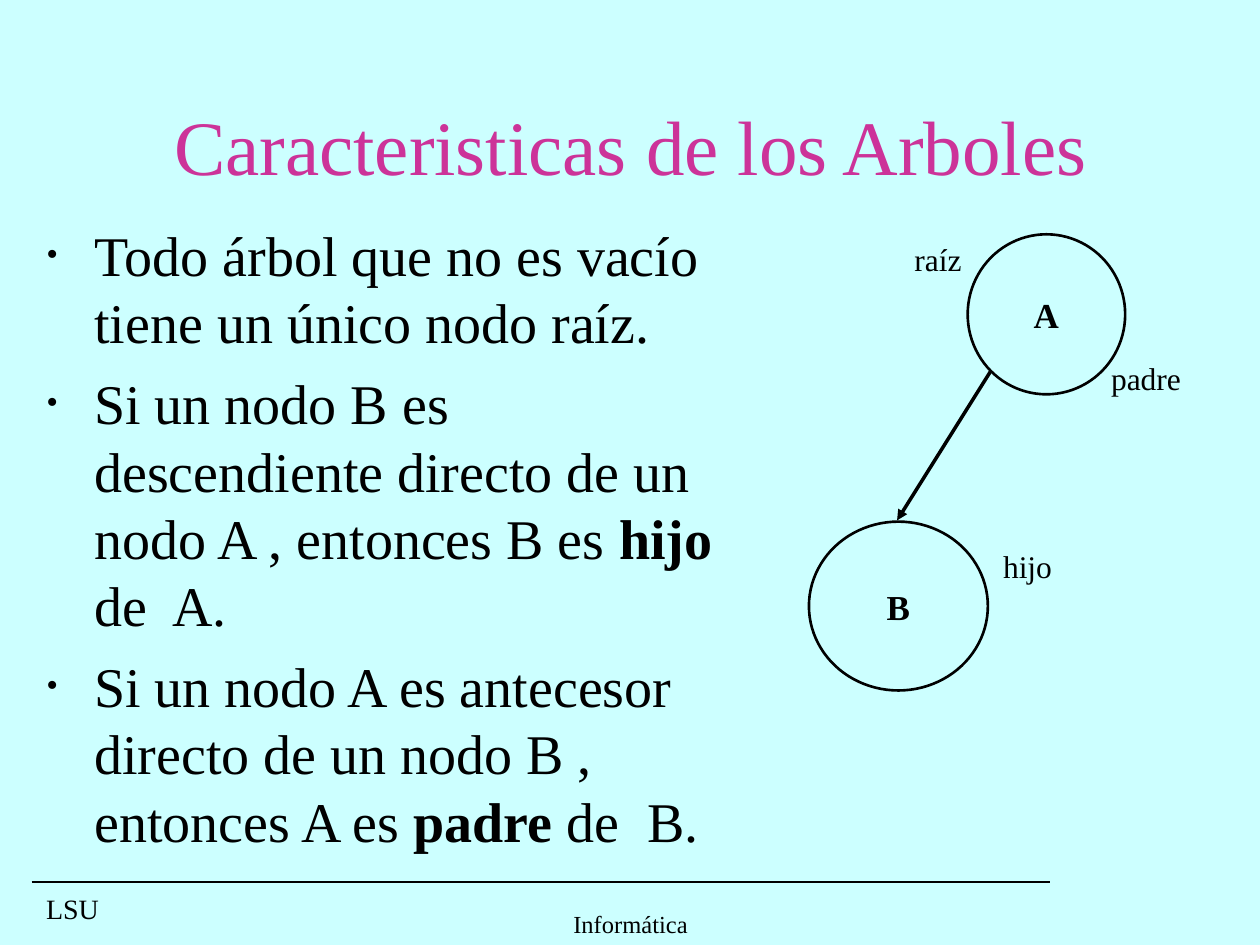
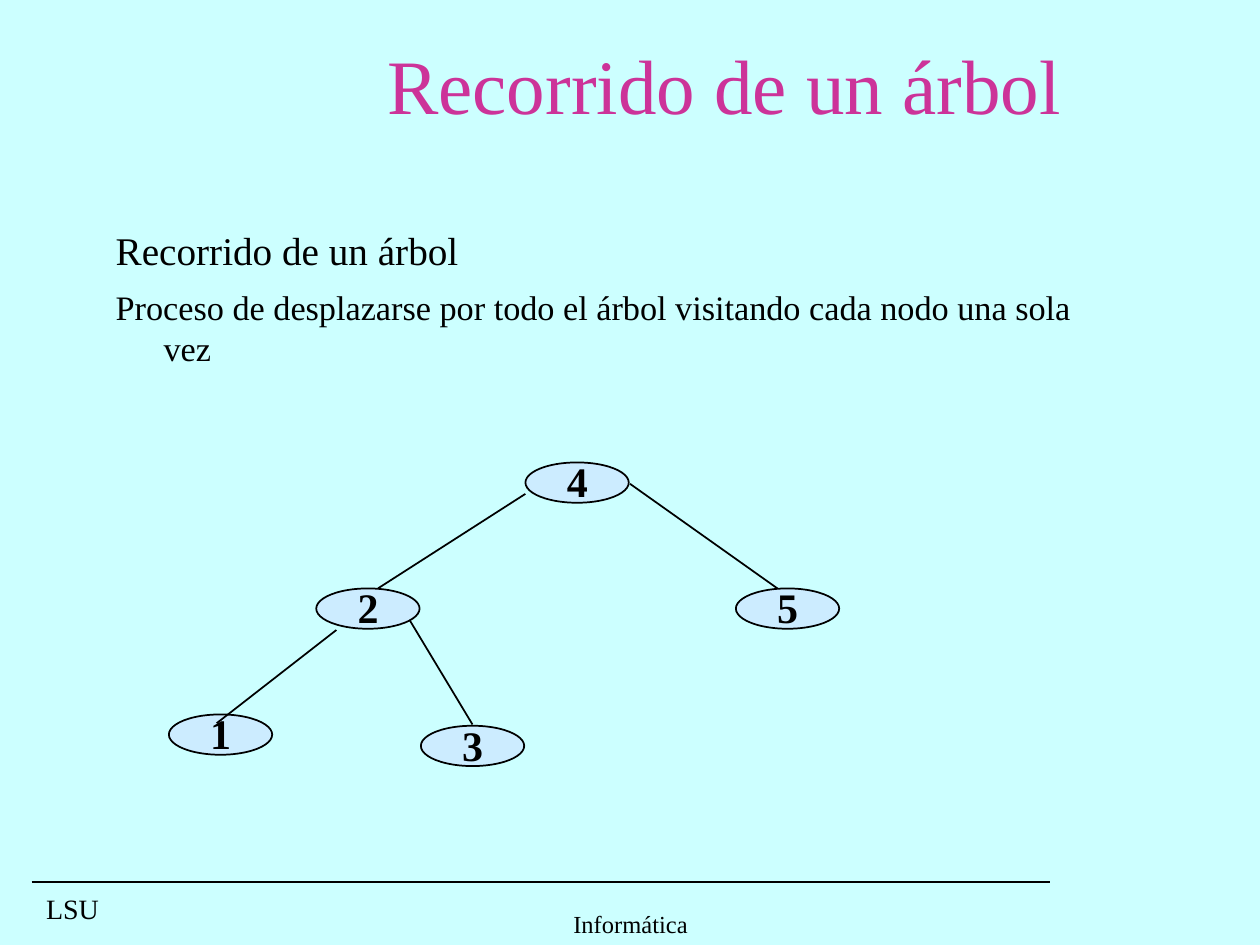
from lxml import etree
from pptx import Presentation
from pptx.dml.color import RGBColor
from pptx.enum.shapes import MSO_CONNECTOR, MSO_SHAPE
from pptx.enum.text import MSO_ANCHOR, MSO_AUTO_SIZE, PP_ALIGN
from pptx.oxml.ns import qn
from pptx.util import Inches, Pt

# Shared style
BACKGROUND = RGBColor(0xCC, 0xFF, 0xFF)
TITLE_COLOR = RGBColor(0xCC, 0x33, 0x99)
NODE_FILL = RGBColor(0xCC, 0xEC, 0xFF)
BLACK = RGBColor(0, 0, 0)
FONT = "Times New Roman"
HANGING = 0.38

STRAIGHT = MSO_CONNECTOR.STRAIGHT
OVAL = MSO_SHAPE.OVAL
LEFT, CENTER = PP_ALIGN.LEFT, PP_ALIGN.CENTER
TOP, MIDDLE, BOTTOM = MSO_ANCHOR.TOP, MSO_ANCHOR.MIDDLE, MSO_ANCHOR.BOTTOM
GROW = MSO_AUTO_SIZE.SHAPE_TO_FIT_TEXT


def apply_format(target, values):
    for name, value in values.items():
        setattr(target, name, value)


def add_xml(parent, tag, **attributes):
    return etree.SubElement(parent, qn(tag), attributes)


class Deck:
    """Holds the presentation style and the slide being built."""

    def __init__(self):
        self.prs = Presentation()
        apply_format(self.prs, {"slide_width": Inches(10), "slide_height": Inches(7.5)})
        self.slide = None

    def new_slide(self, title, title_box):
        self.slide = self.prs.slides.add_slide(self.prs.slide_layouts[6])
        fill = self.slide.background.fill
        fill.solid()
        fill.fore_color.rgb = BACKGROUND
        # Footer
        self.line((0.25, 7), (8.33, 7))
        self.text((0.24, 7.06, 0.67, 0.34), "LSU", 16, grow=True, line_spacing=0.9)
        self.text((3.42, 7.08, 3.17, 0.42), "Informática", 14, anchor=BOTTOM, wrap=False)
        self.title(title, title_box)

    def title(self, title, box):
        paragraph = self.text(box, title, 44, color=TITLE_COLOR, anchor=MIDDLE)
        # Soft text shadow, placed right after the fill of the run
        effects = etree.Element(qn("a:effectLst"))
        shadow = add_xml(effects, "a:outerShdw", dist="35921", dir="2700000")
        add_xml(shadow, "a:srgbClr", val="808080")
        run_format = paragraph.runs[0].font._element
        run_format.find(qn("a:solidFill")).addnext(effects)

    def add_runs(self, paragraph, parts, size, color=BLACK, bold=False, align=CENTER, **spacing):
        """Add parts in turn; every second part is emphasised."""
        apply_format(paragraph, {"alignment": align, **spacing})
        for index, part in enumerate(parts):
            run = paragraph.add_run()
            run.text = part
            apply_format(run.font, {"name": FONT, "size": Pt(size),
                                    "bold": bold or index % 2 == 1})
            run.font.color.rgb = color

    def frame(self, box, anchor=TOP, wrap=True, grow=False):
        frame = self.slide.shapes.add_textbox(*map(Inches, box)).text_frame
        apply_format(frame, {"word_wrap": wrap, "vertical_anchor": anchor})
        if grow:
            frame.auto_size = GROW
        return frame

    def text(self, box, text, size, anchor=TOP, wrap=True, grow=False, **style):
        paragraph = self.frame(box, anchor, wrap, grow).paragraphs[0]
        self.add_runs(paragraph, [text], size, **style)
        return paragraph

    def body(self, box, items, bulleted=False):
        """Each item is (size, space before, parts)."""
        frame = self.frame(box)
        for index, (size, space, parts) in enumerate(items):
            paragraph = frame.add_paragraph() if index else frame.paragraphs[0]
            self.add_runs(paragraph, parts, size, align=LEFT, space_before=Pt(space))
            props = paragraph._p.get_or_add_pPr()
            props.set("marL", str(Inches(HANGING)))
            props.set("indent", str(-Inches(HANGING)))
            if bulleted:
                add_xml(add_xml(props, "a:buClr"), "a:srgbClr", val=str(BLACK))
                add_xml(props, "a:buSzPct", val="60000")
                add_xml(props, "a:buFont", typeface=FONT)
                add_xml(props, "a:buChar", char="•")

    def line(self, start, end, width=1, arrow=False):
        ends = map(Inches, (*start, *end))
        connector = self.slide.shapes.add_connector(STRAIGHT, *ends)
        connector.line.color.rgb = BLACK
        connector.line.width = Pt(width)
        if arrow:
            add_xml(connector.line._get_or_add_ln(), "a:tailEnd", type="triangle")
        add_xml(connector._element.spPr, "a:effectLst")

    def node(self, box, fill=None, width=1, label=None):
        oval = self.slide.shapes.add_shape(OVAL, *map(Inches, box))
        oval.shadow.inherit = False
        oval.line.color.rgb = BLACK
        oval.line.width = Pt(width)
        if fill is None:
            oval.fill.background()
        else:
            oval.fill.solid()
            oval.fill.fore_color.rgb = fill
        if label:
            apply_format(oval.text_frame, {"word_wrap": False, "vertical_anchor": MIDDLE})
            self.add_runs(oval.text_frame.paragraphs[0], [label], 20, bold=True)


def tree_features(deck):
    deck.new_slide("Caracteristicas de los Arboles", (0.51, 0.52, 9, 1.25))
    features = [
        ["Todo árbol que no es vacío tiene un único nodo raíz."],
        ["Si un nodo B es descendiente directo de un nodo A , entonces B es ",
         "hijo", " de  A."],
        ["Si un nodo A es antecesor directo de un nodo B , entonces A es ",
         "padre", " de  B."],
    ]
    deck.body((0.27, 1.7, 5.75, 5.12), [(32, 8, parts) for parts in features], bulleted=True)

    # Parent and child diagram
    deck.node((7.68, 1.86, 1.25, 1.27), width=1.5, label="A")
    deck.node((6.42, 4.14, 1.42, 1.34), width=1.5, label="B")
    deck.line((7.86, 2.95), (7.12, 4.13), width=2, arrow=True)
    roles = [("raíz", 7.13, 1.86, 0.63), ("padre", 8.7, 2.8, 0.79), ("hijo", 7.76, 4.29, 0.79)]
    for role, left, top, width in roles:
        deck.text((left, top, width, 0.4), role, 18, grow=True, space_before=Pt(11.2))


def tree_traversal(deck):
    deck.new_slide("Recorrido de un árbol", (1.5, 0.25, 8.5, 0.83))
    deck.body((0.82, 1.75, 8.01, 1.26), [
        (22.4, 8, ["Recorrido de un árbol"]),
        (19.6, 7, ["Proceso de desplazarse por todo el árbol visitando cada nodo una sola vez"]),
    ])

    # Binary tree: nodes, branches, then numbers on top
    nodes = {"4": (4.17, 3.67), "2": (2.51, 4.67), "5": (5.84, 4.67),
             "1": (1.34, 5.67), "3": (3.34, 5.76)}
    branches = [((4.17, 3.92), (3, 4.67)), ((2.67, 5), (1.72, 5.74)),
                ((5, 3.84), (6.17, 4.67)), ((3.25, 4.92), (3.75, 5.75))]
    for left, top in nodes.values():
        deck.node((left, top, 0.82, 0.32), fill=NODE_FILL)
    for parent, child in branches:
        deck.line(parent, child)
    for number, (left, top) in nodes.items():
        deck.text((left + 0.23, top - 0.1, 0.37, 0.5), number, 24,
                  wrap=False, grow=True, bold=True, align=LEFT)


def main():
    deck = Deck()
    tree_features(deck)
    tree_traversal(deck)
    deck.prs.save("out.pptx")


if __name__ == "__main__":
    main()
